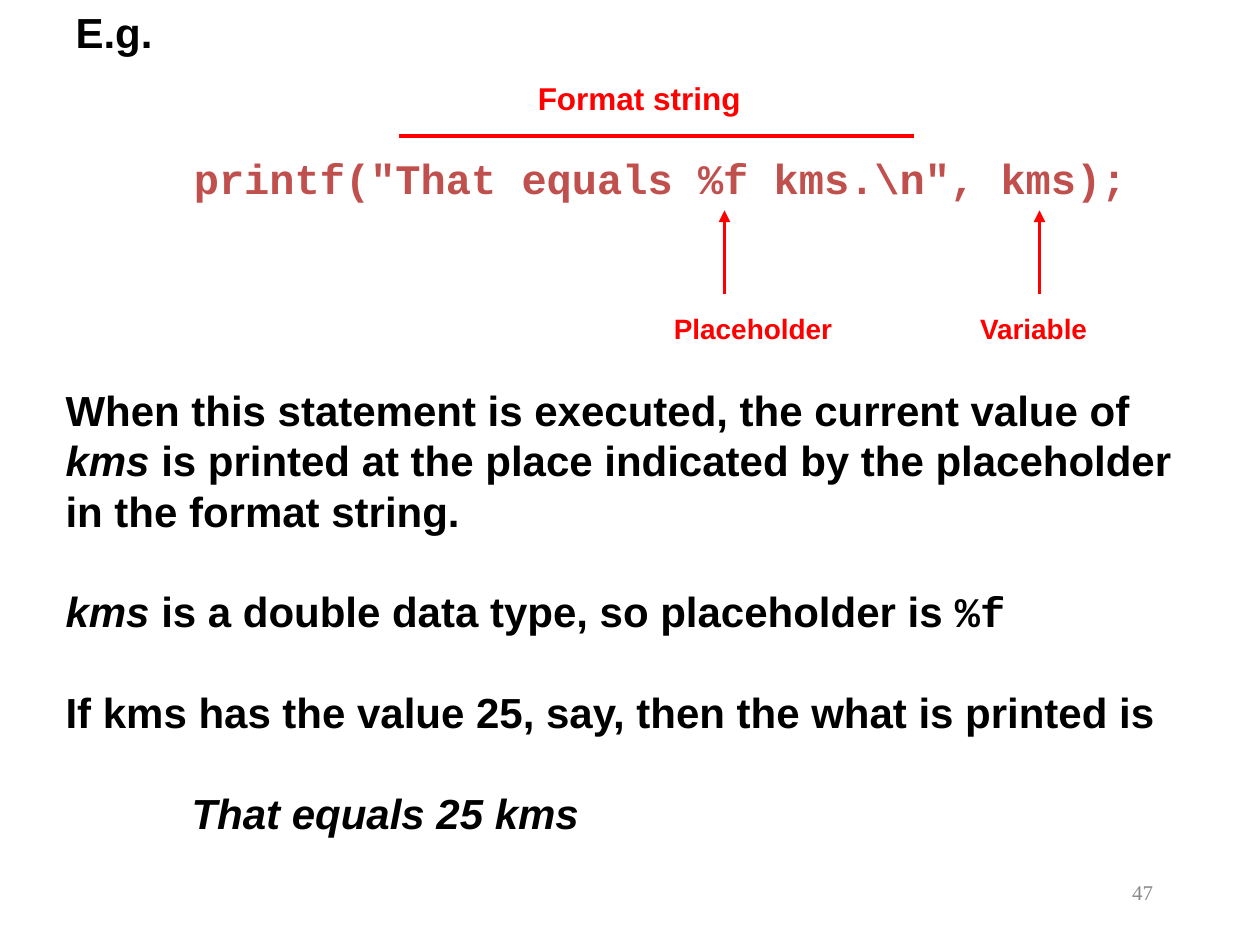
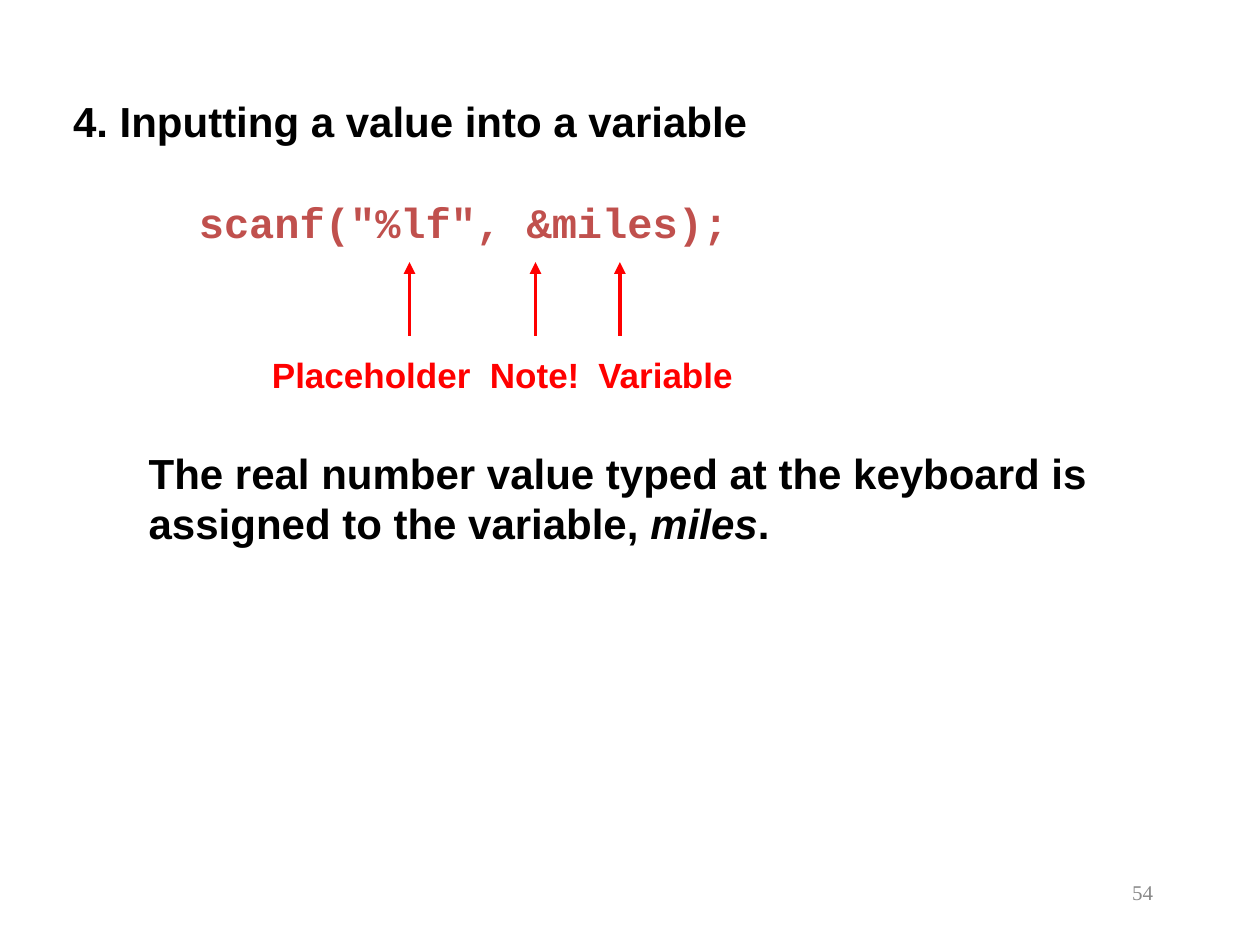
"""Build two slides on printf and scanf with annotated code lines."""
from lxml.etree import SubElement
from pptx import Presentation
from pptx.dml.color import RGBColor
from pptx.enum.shapes import MSO_CONNECTOR as Connector
from pptx.enum.text import MSO_ANCHOR as Anchor, MSO_AUTO_SIZE as AutoSize, PP_ALIGN as Align
from pptx.oxml.ns import qn
from pptx.util import Inches, Pt

COLORS = {"text": "000000", "code": "C0504D", "mark": "FF0000", "number": "898989"}
STYLES = {
    "text": {"name": "Arial", "bold": True},
    "emphasis": {"name": "Arial", "bold": True, "italic": True},
    "code": {"name": "Courier New", "bold": True},
    "number": {"name": "Times New Roman", "bold": False},
}
LINE_RATIO = 1.2
BODY_SIZE = 24
NUMBER_BOX = (7.17, 6.83, 2.08, 0.5)

SLIDES = [
    {
        "number": "47",
        "title": ("E.g.", (0.5, 0, 1, 0.5)),
        "code": ('printf("That equals %f kms.\\n", kms);', (1.44, 1.16, 8.06, 0.5)),
        "label_size": 16,
        "labels": [("Placeholder", 5.25, 2.42), ("Variable", 7.68, 2.42)],
        "arrows": {"x": [5.75, 8.25], "top": 1.67, "bottom": 2.33},
        "span": {"label": ("Format string", 4.17, 0.58), "size": 18,
                 "line": (3.17, 1.08, 7.25, 1.08)},
        "body_box": (0.42, 3, 9.08, 3.7),
        "body": [
            (0, [("When this statement is executed, the current value of ", "text"),
                 ("kms", "emphasis"),
                 (" is printed at the place indicated by the placeholder in the format string.",
                  "text")]),
            (0, [("kms", "emphasis"),
                 (" is a double data type, so placeholder is ", "text"), ("%f", "code")]),
            (0, [("If kms has the value 25, say, then the what is printed is", "text")]),
            (1, [("That equals 25 kms", "emphasis")]),
        ],
    },
    {
        "number": "54",
        "title": ("4. Inputting a value into a variable", (0.48, 0.71, 9.1, 0.5)),
        "code": ('scanf("%lf", &miles);', (1.48, 1.51, 8.1, 0.5)),
        "label_size": 20,
        "labels": [("Placeholder", 2.06, 2.76), ("Note!", 3.79, 2.76),
                   ("Variable", 4.65, 2.76)],
        "arrows": {"x": [3.25, 4.25, 4.92], "top": 2.08, "bottom": 2.67},
        "body_box": (1.08, 3.5, 7.83, 0.9),
        "body": [
            (0, [("The real number value typed at the keyboard is assigned to the variable, ",
                  "text"), ("miles", "emphasis"), (".", "text")]),
        ],
    },
]


def place(box, area):
    """Move a shape to an area given in inches."""
    for name, value in zip(("left", "top", "width", "height"), area):
        setattr(box, name, Inches(value))


def write(box, paragraphs, size=BODY_SIZE, color="text", align=Align.LEFT, anchor=Anchor.TOP):
    """Fill a box with (indent, spans) paragraphs, one line apart."""
    frame = box.text_frame
    for name, value in {"word_wrap": True, "auto_size": AutoSize.NONE,
                        "vertical_anchor": anchor}.items():
        setattr(frame, name, value)
    line_height = Pt(size * LINE_RATIO)
    for index, (indent, spans) in enumerate(paragraphs):
        para = frame.add_paragraph() if index else frame.paragraphs[0]
        for name, value in {"alignment": align, "line_spacing": line_height,
                            "space_before": line_height if index else Pt(0),
                            "space_after": Pt(0)}.items():
            setattr(para, name, value)
        properties = para._p.get_or_add_pPr()
        properties.set("marL", str(Inches(indent)))
        properties.set("indent", "0")
        SubElement(properties, qn("a:buNone"))
        for text, style in spans:
            span = para.add_run()
            span.text = text
            for name, value in {**STYLES[style], "size": Pt(size)}.items():
                setattr(span.font, name, value)
            span.font.color.rgb = RGBColor.from_string(COLORS[color])


def add_text(page, text, area, style="text", **options):
    """Add a text box holding one line."""
    box = page.shapes.add_textbox(0, 0, 0, 0)
    place(box, area)
    write(box, [(0, [(text, style)])], **options)


def add_label(page, label, size):
    """Add a red label at its left and top."""
    text, left, top = label
    add_text(page, text, (left, top, 2.2, 0.45), size=size, color="mark")


def add_line(page, ends, arrow=False):
    """Draw a red line, with an arrowhead at its start if asked."""
    line = page.shapes.add_connector(Connector.STRAIGHT, *map(Inches, ends))
    line.line.color.rgb = RGBColor.from_string(COLORS["mark"])
    line.line.width = Pt(2.25)
    if arrow:
        SubElement(line.line._get_or_add_ln(), qn("a:headEnd"), type="triangle")
    SubElement(line._element.spPr, qn("a:effectLst"))


def build_slide(deck, content):
    """Add one slide from its content."""
    page = deck.slides.add_slide(deck.slide_layouts[1])
    title, title_box = content["title"]
    heading, body = page.shapes.title, page.placeholders[1]
    place(heading, title_box)
    write(heading, [(0, [(title, "text")])])
    place(body, content["body_box"])
    write(body, content["body"])
    code, code_box = content["code"]
    add_text(page, code, code_box, "code", color="code")
    for label in content["labels"]:
        add_label(page, label, content["label_size"])
    arrows = content["arrows"]
    for x in arrows["x"]:
        add_line(page, (x, arrows["top"], x, arrows["bottom"]), arrow=True)
    if "span" in content:
        span = content["span"]
        add_label(page, span["label"], span["size"])
        add_line(page, span["line"])
    add_text(page, content["number"], NUMBER_BOX, "number", size=12, color="number",
             align=Align.RIGHT, anchor=Anchor.MIDDLE)


def main():
    """Build and save the deck."""
    deck = Presentation()
    deck.slide_width, deck.slide_height = Inches(10), Inches(7.5)
    for content in SLIDES:
        build_slide(deck, content)
    deck.save("out.pptx")


if __name__ == "__main__":
    main()
